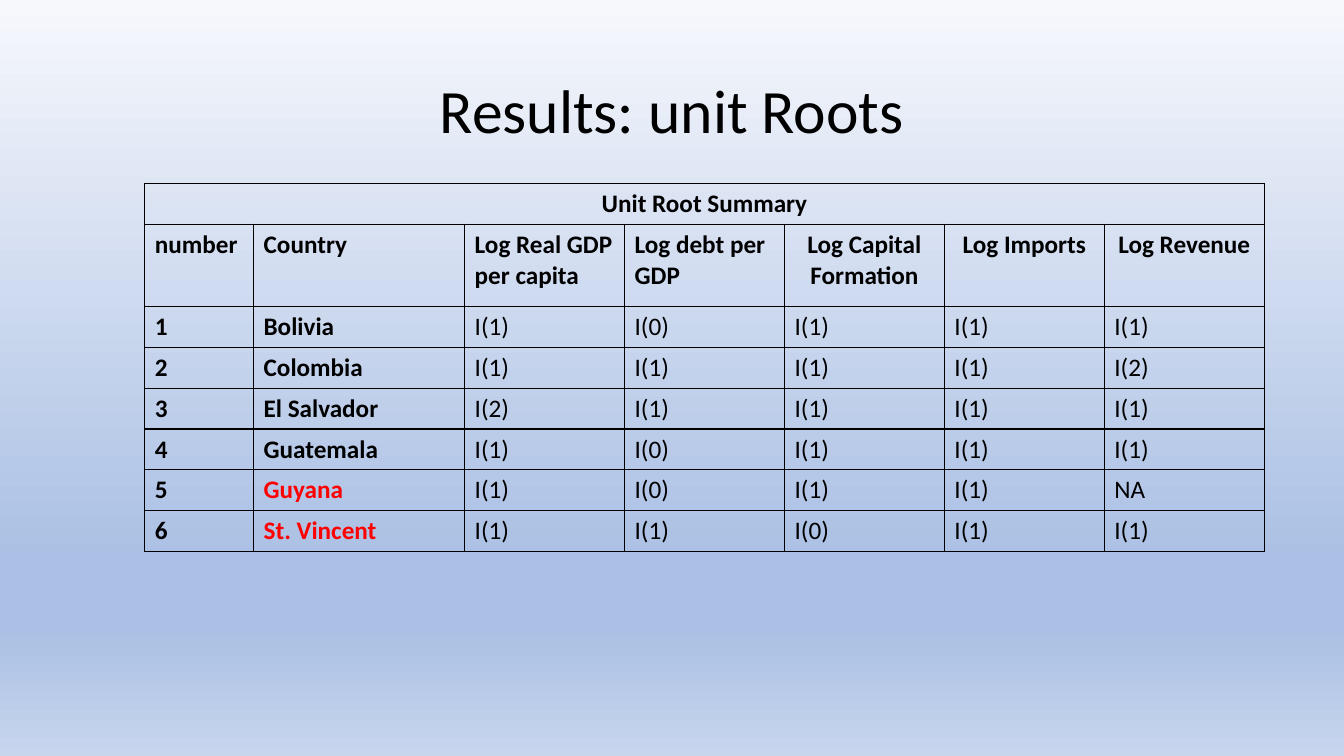
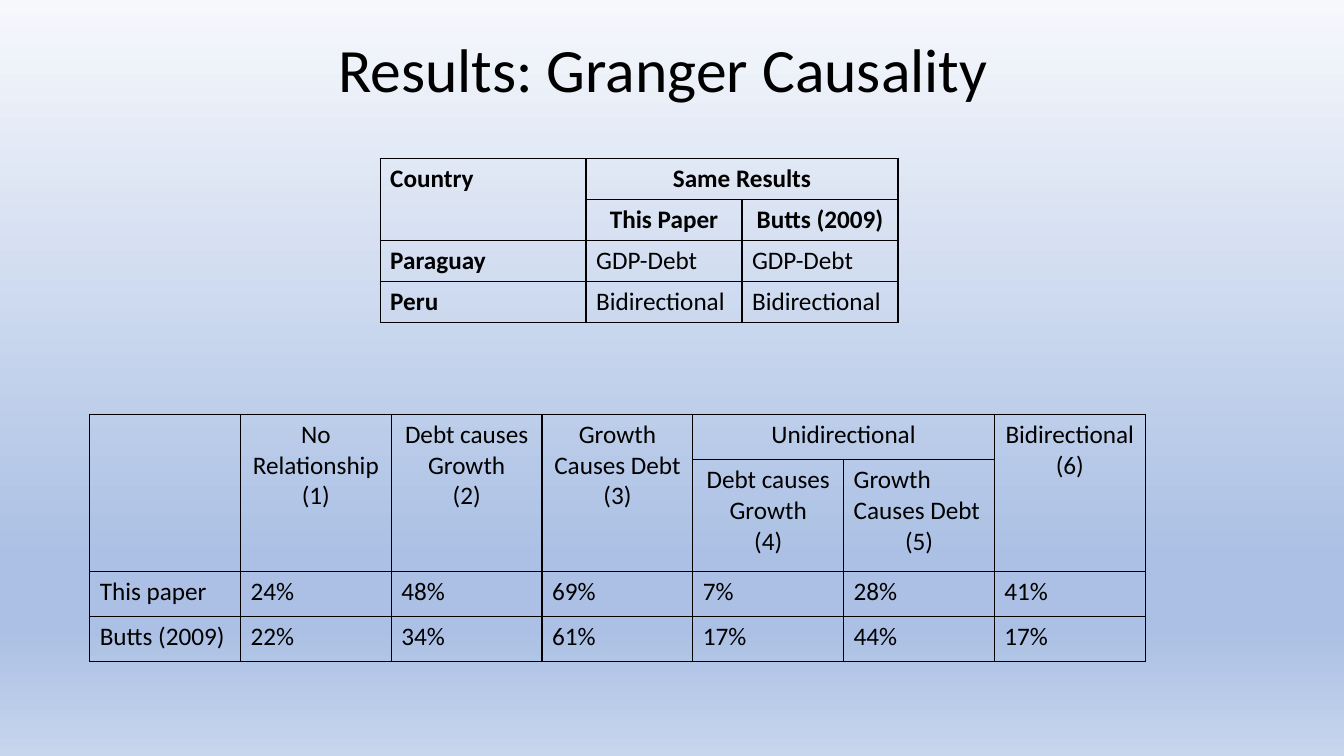
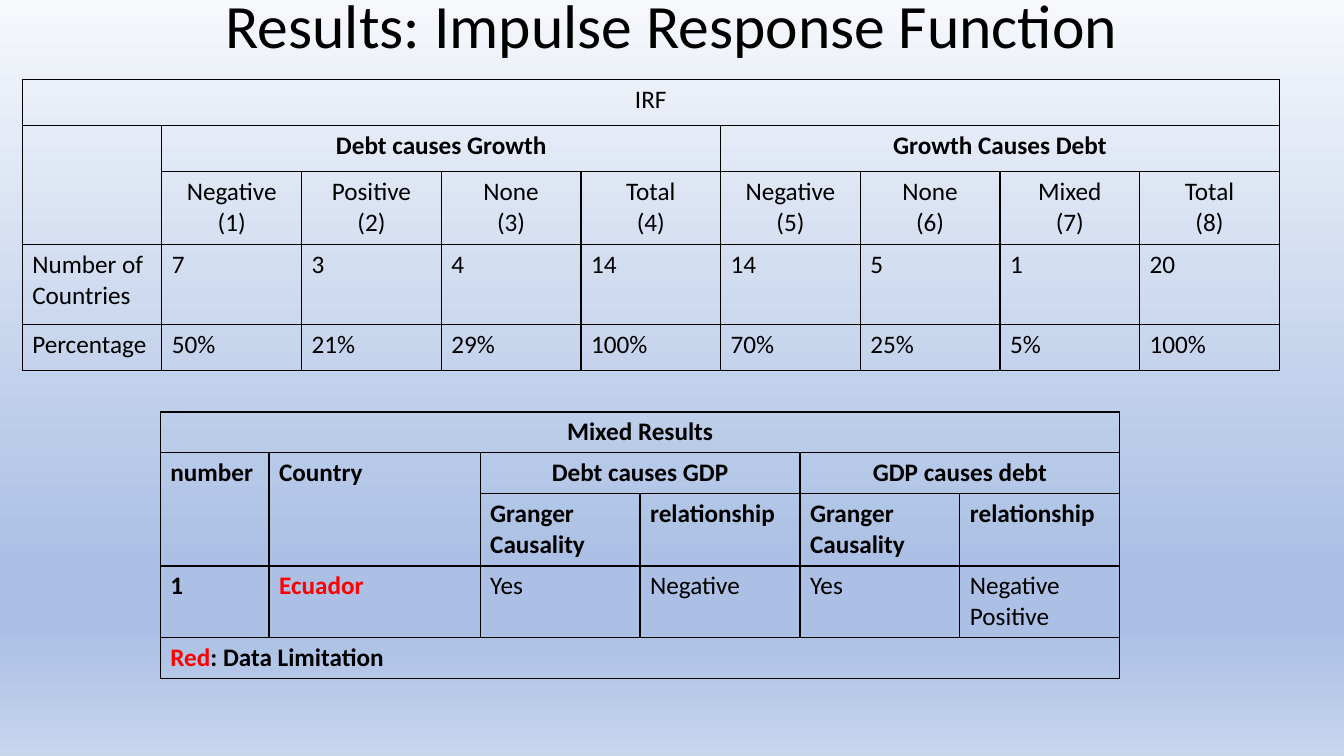
from dataclasses import dataclass

from lxml.etree import SubElement
from pptx import Presentation
from pptx.dml.color import RGBColor
from pptx.enum.text import MSO_ANCHOR as Anchor, PP_ALIGN as Align
from pptx.oxml.ns import qn
from pptx.util import Cm, Pt

COLORS = {"ink": "000000", "limited": "FF0000",
          "sky": "F6F8FC", "blue": "ABC0E4", "haze": "C7D5ED"}
BACKGROUND_STOPS = [(0, "sky"), (74, "blue"), (83, "blue"), (100, "haze")]
FONT = "Calibri"
TITLE_SIZE, TABLE_SIZE, BORDER_WIDTH = 44, 18, 1
NUMBER_WIDTH, COUNTRY_WIDTH, VALUE_WIDTH = 2.74, 5.32, 4.03


@dataclass(frozen=True)
class Span:
    text: str
    bold: bool = False
    color: str = "ink"


@dataclass(frozen=True)
class Line:
    spans: tuple[Span, ...]
    centered: bool = False


@dataclass(frozen=True)
class Entry:
    lines: tuple[Line, ...] = ()
    across: int = 1
    down: int = 1


@dataclass(frozen=True)
class Grid:
    """Entries flow left to right and skip places already spanned."""
    left: float
    top: float
    widths: list[float]
    heights: list[float]
    rows: list[list[Entry]]


# Entry builders
def entry(*texts: str, bold: bool = False, color: str = "ink",
          centered: bool = False, across: int = 1, down: int = 1) -> Entry:
    lines = tuple(Line((Span(text, bold, color),), centered) for text in texts)
    return Entry(lines, across, down)


def label(text: str, down: int = 1, color: str = "ink") -> Entry:
    return entry(text, bold=True, color=color, down=down)


def heading(text: str, across: int = 1) -> Entry:
    return entry(text, bold=True, centered=True, across=across)


def middle(*texts: str, across: int = 1, down: int = 1) -> Entry:
    return entry(*texts, centered=True, across=across, down=down)


def plain_row(*texts: str) -> list[Entry]:
    return [entry(text) for text in texts]


def country_row(number: int, country: str, *values: str, limited: bool = False) -> list[Entry]:
    color = "limited" if limited else "ink"
    return [label(str(number)), label(country, color=color), *plain_row(*values)]


# Drawing
def add_span(para, span: Span, size: float) -> None:
    run = para.add_run()
    run.text = span.text
    run.font.name = FONT
    run.font.size = Pt(size)
    run.font.bold = span.bold
    run.font.color.rgb = RGBColor.from_string(COLORS[span.color])


def paint_background(master) -> None:
    fill = master.background.fill
    fill.gradient()
    fill.gradient_angle = 270
    stops = master.element.find(".//" + qn("a:gsLst"))
    stops.clear()
    for percent, color in BACKGROUND_STOPS:
        stop = SubElement(stops, qn("a:gs"), pos=str(percent * 1000))
        SubElement(stop, qn("a:srgbClr"), val=COLORS[color])


def add_title(page, text: str, left: float, top: float) -> None:
    box = page.shapes.add_textbox(Cm(left), Cm(top), Cm(29.21), Cm(3.68))
    frame = box.text_frame
    frame.word_wrap = True
    frame.vertical_anchor = Anchor.MIDDLE
    para = frame.paragraphs[0]
    para.alignment = Align.CENTER
    para.line_spacing = 0.9
    add_span(para, Span(text), TITLE_SIZE)


def outline(cell) -> None:
    cell.fill.background()
    properties = cell._tc.get_or_add_tcPr()
    for place, side in enumerate(("lnL", "lnR", "lnT", "lnB")):
        border = SubElement(properties, qn(f"a:{side}"), w=str(Pt(BORDER_WIDTH)))
        fill = SubElement(border, qn("a:solidFill"))
        SubElement(fill, qn("a:srgbClr"), val=COLORS["ink"])
        properties.insert(place, border)


def write_entry(cell, content: Entry) -> None:
    frame = cell.text_frame
    for index, line in enumerate(content.lines):
        para = frame.add_paragraph() if index else frame.paragraphs[0]
        para.alignment = Align.CENTER if line.centered else Align.LEFT
        for span in line.spans:
            add_span(para, span, TABLE_SIZE)


def add_grid(page, grid: Grid) -> None:
    frame = page.shapes.add_table(
        len(grid.heights), len(grid.widths), Cm(grid.left), Cm(grid.top),
        Cm(sum(grid.widths)), Cm(sum(grid.heights)))
    table = frame.table
    table.first_row = table.horz_banding = False
    for column, width in zip(table.columns, grid.widths):
        column.width = Cm(width)
    for row, height in zip(table.rows, grid.heights):
        row.height = Cm(height)
    for cell in table.iter_cells():
        outline(cell)
    for row, entries in enumerate(grid.rows):
        column = 0
        for content in entries:
            while table.cell(row, column).is_spanned:
                column += 1
            cell = table.cell(row, column)
            if content.across * content.down > 1:
                cell.merge(table.cell(row + content.down - 1, column + content.across - 1))
            write_entry(cell, content)
            column += content.across


# Tables
UNIT_ROOTS = Grid(
    3.65, 4.62, [NUMBER_WIDTH, COUNTRY_WIDTH] + [VALUE_WIDTH] * 5,
    [1.03, 2.07] + [1.03] * 6,
    [
        [heading("Unit Root Summary", across=7)],
        [label("number"), label("Country"), label("Log Real GDP per capita"),
         label("Log debt per GDP"), heading("Log Capital Formation"),
         heading("Log Imports"), heading("Log Revenue")],
        country_row(1, "Bolivia", "I(1)", "I(0)", "I(1)", "I(1)", "I(1)"),
        country_row(2, "Colombia", "I(1)", "I(1)", "I(1)", "I(1)", "I(2)"),
        country_row(3, "El Salvador", "I(2)", "I(1)", "I(1)", "I(1)", "I(1)"),
        country_row(4, "Guatemala", "I(1)", "I(0)", "I(1)", "I(1)", "I(1)"),
        country_row(5, "Guyana", "I(1)", "I(0)", "I(1)", "I(1)", "NA", limited=True),
        country_row(6, "St. Vincent", "I(1)", "I(1)", "I(0)", "I(1)", "I(1)", limited=True),
    ])

SAME_RESULTS = Grid(
    9.58, 4.0, [5.19, 3.93, 3.93], [1.03] * 4,
    [
        [label("Country", down=2), heading("Same Results", across=2)],
        [heading("This Paper"), heading("Butts (2009)")],
        [label("Paraguay"), *plain_row("GDP-Debt", "GDP-Debt")],
        [label("Peru"), *plain_row("Bidirectional", "Bidirectional")],
    ])

CAUSALITY_SHARES = Grid(
    2.26, 10.44, [3.8] * 7, [1.14, 2.82, 1.14, 1.14],
    [
        [Entry(down=2), middle("No Relationship", "(1)", down=2),
         middle("Debt causes Growth", "(2)", down=2),
         middle("Growth Causes Debt", "(3)", down=2),
         middle("Unidirectional", across=2), middle("Bidirectional", "(6)", down=2)],
        [middle("Debt causes Growth", "(4)"),
         Entry((Line((Span("Growth Causes Debt"),)), Line((Span("(5)"),), centered=True)))],
        plain_row("This paper", "24%", "48%", "69%", "7%", "28%", "41%"),
        plain_row("Butts (2009)", "22%", "34%", "61%", "17%", "44%", "17%"),
    ])

RESPONSES = ["Negative", "Positive", "None", "Total", "Negative", "None", "Mixed", "Total"]
IMPULSE_RESPONSES = Grid(
    0.56, 2.0, [3.52] * 9, [1.16, 1.16, 1.84, 2.02, 1.16],
    [
        [middle("IRF", across=9)],
        [Entry(down=2), heading("Debt causes Growth", across=4),
         heading("Growth Causes Debt", across=4)],
        [middle(name, f"({number})") for number, name in enumerate(RESPONSES, 1)],
        plain_row("Number of Countries", "7", "3", "4", "14", "14", "5", "1", "20"),
        plain_row("Percentage", "50%", "21%", "29%", "100%", "70%", "25%", "5%", "100%"),
    ])

MIXED_RESULTS = Grid(
    4.04, 10.38, [NUMBER_WIDTH, COUNTRY_WIDTH] + [VALUE_WIDTH] * 4,
    [1.03, 1.03, 1.82, 1.8, 1.03],
    [
        [heading("Mixed Results", across=6)],
        [label("number", down=2), label("Country", down=2),
         heading("Debt causes GDP", across=2), heading("GDP causes debt", across=2)],
        [label("Granger Causality"), label("relationship")] * 2,
        [*country_row(1, "Ecuador", "Yes", "Negative", "Yes", limited=True),
         entry("Negative", "Positive")],
        [Entry((Line((Span("Red", True, "limited"), Span(": Data Limitation", True))),),
               across=6)],
    ])

# Title, title left, title top, tables
PAGES = [
    ("Results: unit Roots", 2.33, 1.01, [UNIT_ROOTS]),
    ("Results: Granger Causality", 2.11, 0, [SAME_RESULTS, CAUSALITY_SHARES]),
    ("Results: Impulse Response Function", 2.33, -1.13, [MIXED_RESULTS, IMPULSE_RESPONSES]),
]


def main() -> None:
    deck = Presentation()
    deck.slide_width, deck.slide_height = Cm(33.87), Cm(19.05)
    paint_background(deck.slide_master)
    for title, left, top, grids in PAGES:
        page = deck.slides.add_slide(deck.slide_layouts[6])
        add_title(page, title, left, top)
        for grid in grids:
            add_grid(page, grid)
    deck.save("out.pptx")


if __name__ == "__main__":
    main()
